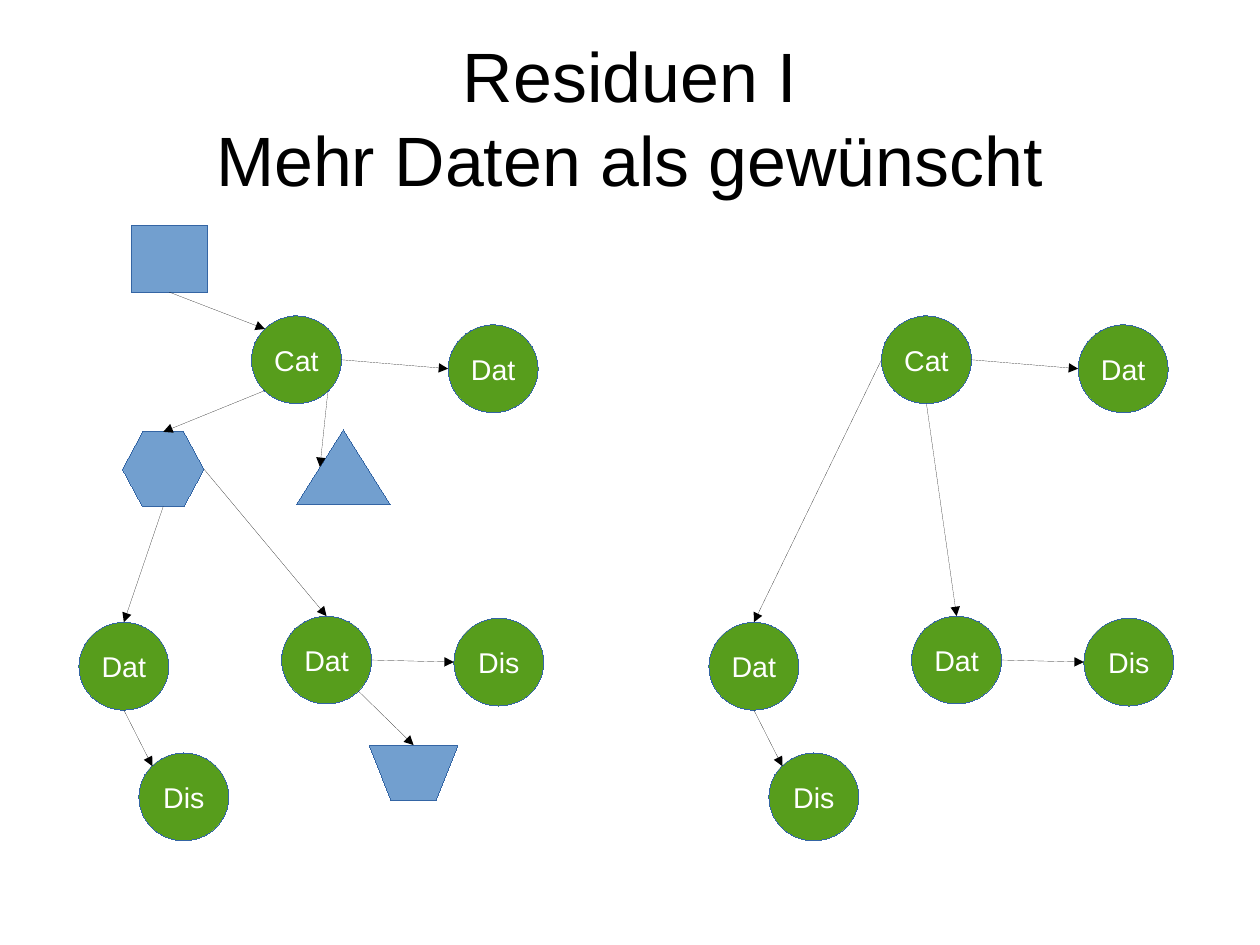
from dataclasses import dataclass

from lxml import etree
from pptx import Presentation
from pptx.dml.color import RGBColor
from pptx.enum.shapes import MSO_CONNECTOR, MSO_SHAPE
from pptx.enum.text import MSO_ANCHOR, MSO_AUTO_SIZE, PP_ALIGN
from pptx.oxml.ns import qn
from pptx.util import Cm, Pt

OVAL, SQUARE = MSO_SHAPE.OVAL, MSO_SHAPE.RECTANGLE
TRIANGLE, HEXAGON = MSO_SHAPE.ISOSCELES_TRIANGLE, MSO_SHAPE.HEXAGON
STRAIGHT = MSO_CONNECTOR.STRAIGHT
MIDDLE, CENTER = MSO_ANCHOR.MIDDLE, PP_ALIGN.CENTER
NO_FIT = MSO_AUTO_SIZE.NONE

FONT = "Arial"
GREEN, BLUE, OUTLINE = "579D1C", "729FCF", "3465A4"
BLACK, WHITE = "000000", "FFFFFF"
SLIDE_WIDTH, SLIDE_HEIGHT = Cm(28), Cm(21)
HAIRLINE = Pt(0.01)
TREE_SHIFT = 50

TOP, BOTTOM, LEFT, RIGHT = (0.5, 0), (0.5, 1), (0, 0.5), (1, 0.5)
UPPER_LEFT, LOWER_LEFT, LOWER_RIGHT = (0.15, 0.15), (0.15, 0.85), (0.85, 0.85)
TRIANGLE_SIDE = (0.25, 0.5)


@dataclass(frozen=True)
class Node:
    left: float
    top: float
    width: float = 7.14
    height: float = 9.29
    label: str = ""
    kind: int = OVAL

    def point(self, site: tuple[float, float], shift: float = 0) -> tuple[int, int]:
        across, down = site
        return (share_x(self.left + shift + across * self.width),
                share_y(self.top + down * self.height))


@dataclass(frozen=True)
class Arrow:
    start: str
    start_site: tuple[float, float]
    end: str
    end_site: tuple[float, float]


CIRCLES = {
    "cat": Node(19.96, 33.43, label="Cat"),
    "middle_dat": Node(22.35, 65.2, label="Dat"),
    "left_dat": Node(6.26, 65.85, label="Dat"),
    "right_dat": Node(35.57, 34.37, label="Dat"),
    "lower_dis": Node(11.02, 79.68, label="Dis"),
    "right_dis": Node(36.02, 65.42, label="Dis"),
}
RESIDUES = {
    "square": Node(10.42, 23.82, 6.05, 7.1, kind=SQUARE),
    "triangle": Node(23.53, 45.47, 7.45, 7.9, kind=TRIANGLE),
    "hexagon": Node(9.72, 45.7, 6.47, 7.9, kind=HEXAGON),
}
TRAPEZOID = Node(29.3, 78.85, 7.05, 5.9)
TRAPEZOID_CORNERS = [(0, 0), (1, 0), (0.75, 1), (0.25, 1)]
NODES = CIRCLES | RESIDUES | {"trapezoid": TRAPEZOID}

SHARED_ARROWS = [
    Arrow("cat", RIGHT, "right_dat", LEFT),
    Arrow("left_dat", BOTTOM, "lower_dis", UPPER_LEFT),
    Arrow("middle_dat", RIGHT, "right_dis", LEFT),
]
RESIDUE_ARROWS = [
    Arrow("square", BOTTOM, "cat", UPPER_LEFT),
    Arrow("cat", LOWER_RIGHT, "triangle", TRIANGLE_SIDE),
    Arrow("cat", LOWER_LEFT, "hexagon", TOP),
    Arrow("hexagon", BOTTOM, "left_dat", TOP),
    Arrow("hexagon", RIGHT, "middle_dat", TOP),
    Arrow("middle_dat", LOWER_RIGHT, "trapezoid", TOP),
]
DIRECT_ARROWS = [
    Arrow("cat", LEFT, "left_dat", TOP),
    Arrow("cat", BOTTOM, "middle_dat", TOP),
]


def share_x(percent: float) -> int:
    return round(SLIDE_WIDTH * percent / 100)


def share_y(percent: float) -> int:
    return round(SLIDE_HEIGHT * percent / 100)


def color(value: str) -> RGBColor:
    return RGBColor.from_string(value)


def format_paragraph(paragraph, size: float, ink: str) -> None:
    paragraph.alignment = CENTER
    paragraph.font.name = FONT
    paragraph.font.size = Pt(size)
    paragraph.font.color.rgb = color(ink)


def outline(shape, ink: str) -> None:
    shape.line.color.rgb = color(ink)
    shape.line.width = HAIRLINE


def paint(shape, fill: str) -> None:
    shape.shadow.inherit = False
    shape.fill.solid()
    shape.fill.fore_color.rgb = color(fill)
    outline(shape, OUTLINE)


def draw_node(page, node: Node, fill: str, shift: float = 0) -> None:
    shape = page.shapes.add_shape(node.kind, *node.point((0, 0), shift),
                                  share_x(node.width), share_y(node.height))
    paint(shape, fill)
    if node.kind == HEXAGON:
        shape.adjustments[0] = 0.27
    if node.label:
        frame = shape.text_frame
        frame.word_wrap = False
        frame.vertical_anchor = MIDDLE
        frame.text = node.label
        format_paragraph(frame.paragraphs[0], 18, WHITE)


def draw_trapezoid(page) -> None:
    first, *others = [TRAPEZOID.point(corner) for corner in TRAPEZOID_CORNERS]
    builder = page.shapes.build_freeform(*first)
    builder.add_line_segments(others, close=True)
    paint(builder.convert_to_shape(), BLUE)


def draw_arrow(page, arrow: Arrow, shift: float) -> None:
    start = NODES[arrow.start].point(arrow.start_site, shift)
    end = NODES[arrow.end].point(arrow.end_site, shift)
    connector = page.shapes.add_connector(STRAIGHT, *start, *end)
    outline(connector, BLACK)
    properties = connector.element.spPr
    etree.SubElement(properties.find(qn("a:ln")), qn("a:tailEnd"), type="triangle")
    etree.SubElement(properties, qn("a:effectLst"))


def draw_tree(page, arrows: list[Arrow], shift: float) -> None:
    for node in CIRCLES.values():
        draw_node(page, node, GREEN, shift)
    for arrow in SHARED_ARROWS + arrows:
        draw_arrow(page, arrow, shift)


def write_title(page) -> None:
    title = page.shapes.title
    title.left, title.top = share_x(5), share_y(4)
    title.width, title.height = share_x(90), share_y(16.7)
    frame = title.text_frame
    frame.margin_left = frame.margin_right = 0
    frame.margin_top = frame.margin_bottom = 0
    frame.word_wrap = True
    frame.auto_size = NO_FIT
    frame.vertical_anchor = MIDDLE
    frame.text = "Residuen I\vMehr Daten als gewünscht"
    format_paragraph(frame.paragraphs[0], 44, BLACK)


deck = Presentation()
deck.slide_width, deck.slide_height = SLIDE_WIDTH, SLIDE_HEIGHT
page = deck.slides.add_slide(deck.slide_layouts.get_by_name("Title Only"))
write_title(page)
for residue in RESIDUES.values():
    draw_node(page, residue, BLUE)
draw_trapezoid(page)
draw_tree(page, RESIDUE_ARROWS, 0)
draw_tree(page, DIRECT_ARROWS, TREE_SHIFT)
deck.save("out.pptx")
